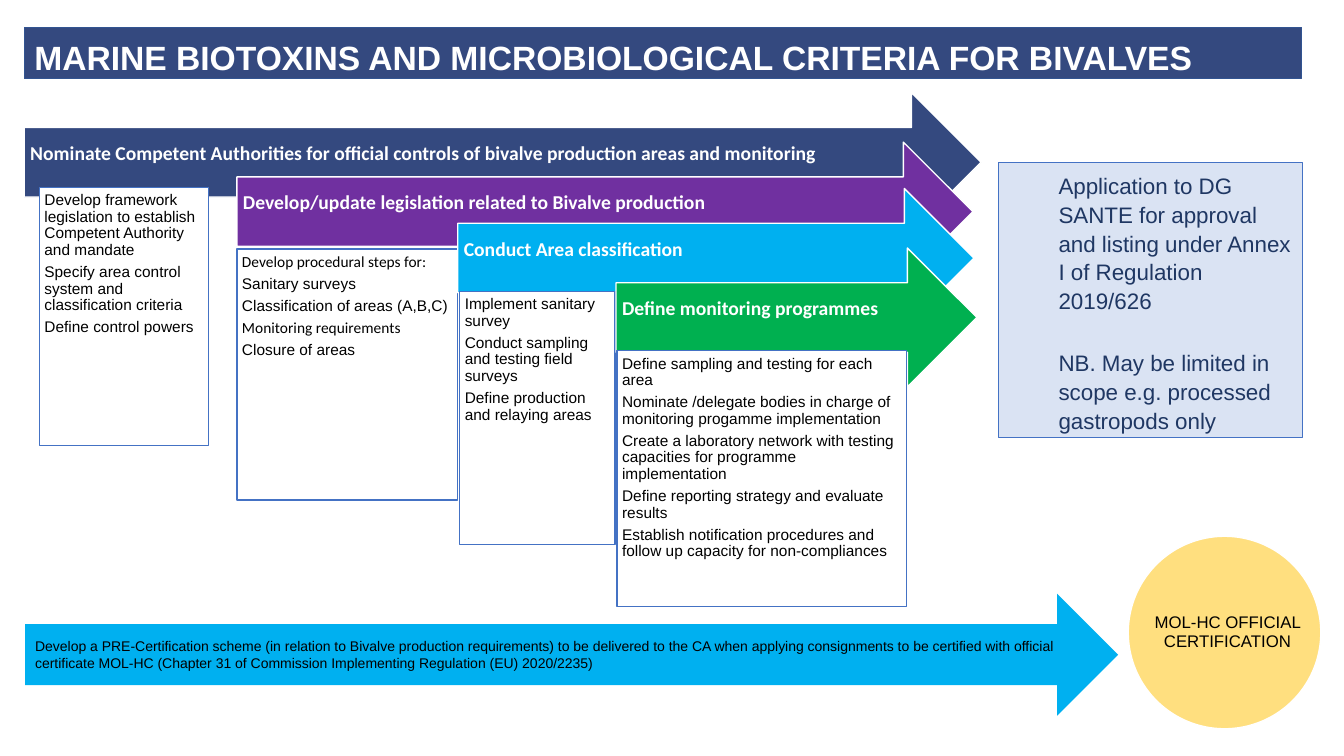
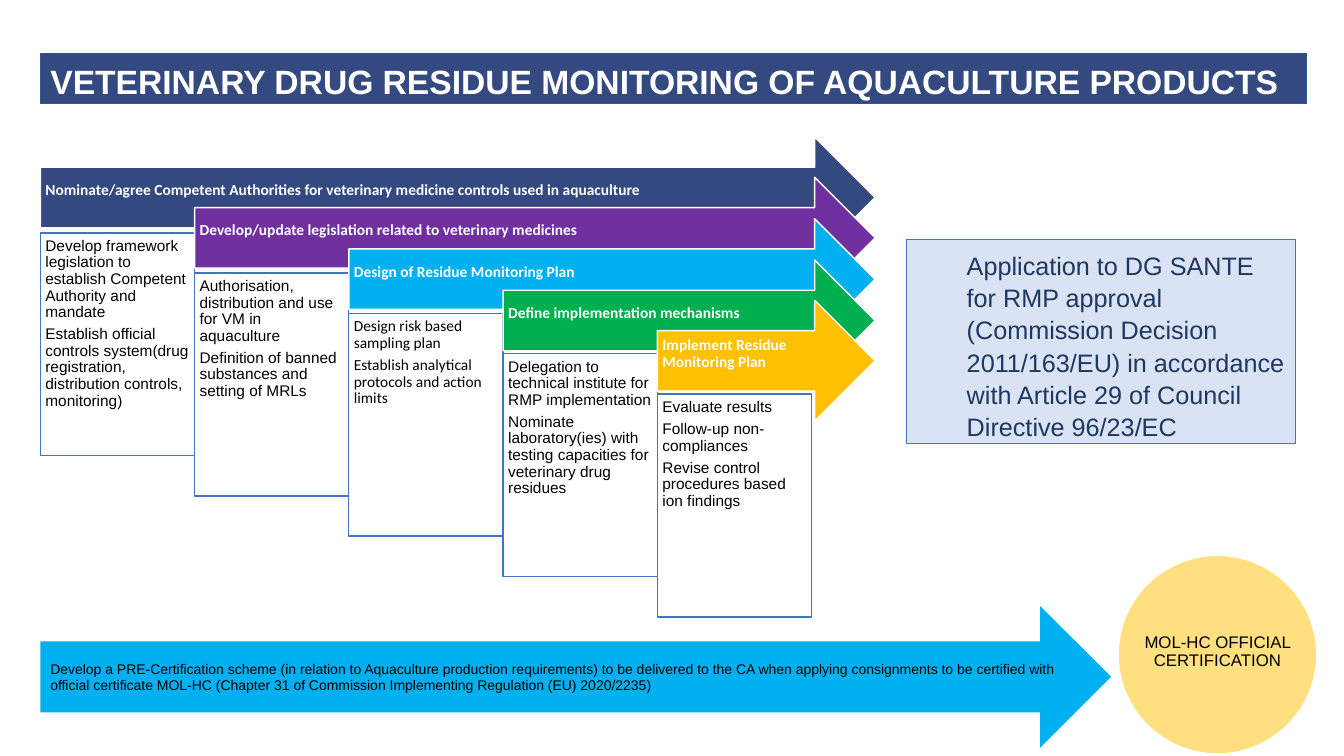
from lxml import etree
from pptx import Presentation
from pptx import util as u
from pptx.dml.color import RGBColor
from pptx.enum import shapes, text
from pptx.oxml import ns

PX = 9144
NAVY, PURPLE, SKY, GREEN, AMBER = "34497F", "7030A0", "00B0F0", "00B050", "FFC000"
WHITE, BLACK, PALE, BLUE, INK = "FFFFFF", "000000", "DAE3F3", "4472C4", "1F3763"
TITLE_EDGE = "325491"

TITLE_FONT = {"size": u.Pt(24), "name": "Arial", "bold": True}
BODY_FONT = {"size": u.Pt(11), "name": "Arial"}
SCHEME_FONT = {"size": u.Pt(10), "name": "Arial"}
BADGE_FONT = {"size": u.Pt(12), "name": "Arial"}

BIVALVE_STEPS = [
    (NAVY, "Nominate Competent Authorities for official controls of bivalve production areas and monitoring",
     (24, 92, 949, 138), (39, 186, 168, 256),
     ["Develop framework legislation to establish Competent Authority and mandate",
      "Specify area control system and classification criteria",
      "Define control powers"], ()),
    (PURPLE, "Develop/update legislation related to Bivalve production",
     (235, 141, 730, 138), (235, 247, 219, 249),
     ["Develop procedural steps for:", "Sanitary surveys", "Classification of areas (A,B,C)",
      "Monitoring requirements", "Closure of areas"], (0, 3)),
    (SKY, "Conduct Area classification",
     (454, 187, 512, 138), (456, 289, 154, 251),
     ["Implement sanitary survey", "Conduct sampling and testing field surveys",
      "Define production and relaying areas"], ()),
    (GREEN, "Define monitoring programmes",
     (611, 246, 358, 138), (612, 348, 287, 254),
     ["Define sampling and testing for each area",
      "Nominate /delegate bodies in charge of monitoring progamme implementation",
      "Create a laboratory network with testing capacities for programme implementation",
      "Define reporting strategy and evaluate results",
      "Establish notification procedures and follow up capacity for non-compliances"], ()),
]

RESIDUE_STEPS = [
    (NAVY, "Nominate/agree Competent Authorities for veterinary medicine controls used in aquaculture",
     ["Develop framework legislation to establish Competent Authority and mandate",
      "Establish official controls system(drug registration, distribution controls, monitoring)"], ()),
    (PURPLE, "Develop/update legislation related to veterinary medicines",
     ["Authorisation, distribution and use for VM in aquaculture",
      "Definition of banned substances and setting of MRLs"], ()),
    (SKY, "Design of Residue Monitoring Plan",
     ["Design risk based sampling plan",
      "Establish analytical protocols and action limits"], (0, 1)),
    (GREEN, "Define implementation mechanisms",
     ["Delegation to technical institute for RMP implementation",
      "Nominate laboratory(ies) with testing capacities for veterinary drug residues"], ()),
    (AMBER, "Implement Residue Monitoring Plan",
     ["Evaluate results", "Follow-up non-compliances",
      "Revise control procedures based ion findings"], ()),
]


def rgb(value):
    """Turn a hex string into a colour."""
    return RGBColor.from_string(value)


def emu(box):
    """Turn px lengths into EMU."""
    return [n * PX for n in box]


def apply(target, values):
    """Set each attribute named in a dict."""
    for name, value in values.items():
        setattr(target, name, value)


def paint(sp, fill, line=None, width=1):
    """Give a shape a solid fill and an optional outline."""
    sp.shadow.inherit = False
    sp.fill.solid()
    sp.fill.fore_color.rgb = rgb(fill)
    if line:
        sp.line.color.rgb = rgb(line)
        sp.line.width = u.Pt(width)
    else:
        sp.line.fill.background()


def write(sp, lines, font, color, insets, anchor=text.MSO_ANCHOR.TOP,
          align=text.PP_ALIGN.LEFT, **para):
    """Fill a shape with formatted paragraphs."""
    tf = sp.text_frame
    sides = ("margin_left", "margin_top", "margin_right", "margin_bottom")
    apply(tf, dict(zip(sides, emu(insets))))
    apply(tf, {"word_wrap": True, "auto_size": text.MSO_AUTO_SIZE.NONE,
               "vertical_anchor": anchor})
    for i, line in enumerate(lines):
        p = tf.paragraphs[0] if i == 0 else tf.add_paragraph()
        apply(p, {"alignment": align, **para})
        r = p.add_run()
        r.text = line
        apply(r.font, font)
        r.font.color.rgb = rgb(color)
    return tf.paragraphs


def add_shape(s, kind, box, fill, line=None, width=1):
    """Add a painted preset shape."""
    sp = s.shapes.add_shape(kind, *emu(box))
    paint(sp, fill, line, width)
    return sp


def add_title(s, title, box, spacing):
    """Turn the title placeholder into a filled band."""
    sp = s.shapes.title
    apply(sp, dict(zip(("left", "top", "width", "height"), emu(box))))
    paint(sp, NAVY, TITLE_EDGE)
    write(sp, [title], TITLE_FONT, WHITE, (10, 7, 10, 5), line_spacing=spacing)


def add_step(s, color, heading, arrow, box, lines, calibri, size, insets):
    """Add one arrow of the cascade and the box of tasks below it."""
    sp = add_shape(s, shapes.MSO_SHAPE.RIGHT_ARROW, arrow, color, WHITE)
    font = {"size": u.Pt(size), "name": "Calibri", "bold": True}
    write(sp, [heading], font, WHITE, insets, text.MSO_ANCHOR.MIDDLE,
          line_spacing=0.9, space_after=u.Pt(size * 0.35))
    sp = add_shape(s, shapes.MSO_SHAPE.RECTANGLE, box, WHITE, BLUE)
    paragraphs = write(sp, lines, BODY_FONT, BLACK, (5, 5, 5, 5),
                       line_spacing=0.9, space_after=u.Pt(3.85))
    for i in calibri:
        paragraphs[i].runs[0].font.name = "Calibri"


def add_callout(s, box, lines, size):
    """Add the indented panel about the application."""
    sp = add_shape(s, shapes.MSO_SHAPE.RECTANGLE, box, PALE, BLUE, 0.75)
    font = {"size": u.Pt(size), "name": "Arial"}
    paragraphs = write(sp, lines, font, INK, (10, 8, 10, 5), line_spacing=1.07)
    for i, p in enumerate(paragraphs):
        p._p.get_or_add_pPr().set("marL", str(50 * PX))
        if i:
            p.space_before = u.Pt(24)


def add_scheme(s, box, scope):
    """Add the bottom arrow about pre-certification."""
    line = (f"Develop a PRE-Certification scheme (in relation to {scope} production requirements) "
            "to be delivered to the CA when applying consignments to be certified with official "
            "certificate MOL-HC (Chapter 31 of Commission Implementing Regulation (EU) 2020/2235)")
    sp = add_shape(s, shapes.MSO_SHAPE.RIGHT_ARROW, box, SKY)
    write(sp, [line], SCHEME_FONT, BLACK, (10, 5, 10, 5), text.MSO_ANCHOR.MIDDLE)


def add_badge(s, left, top, size):
    """Add the half-transparent certification circle and its label."""
    sp = add_shape(s, shapes.MSO_SHAPE.OVAL, (left, top, size, size), AMBER, WHITE)
    color = sp.fill._xPr.find(ns.qn("a:solidFill"))[0]
    etree.SubElement(color, ns.qn("a:alpha"), val="50000")
    label = s.shapes.add_textbox(*emu((left + 11, top + 35, 175, 121)))
    write(label, ["MOL-HC OFFICIAL CERTIFICATION"], BADGE_FONT, BLACK, (2, 2, 2, 2),
          text.MSO_ANCHOR.MIDDLE, text.PP_ALIGN.CENTER,
          line_spacing=0.9, space_after=u.Pt(4.2))


def build_bivalves(s):
    """Build the slide on bivalve criteria."""
    add_title(s, "MARINE BIOTOXINS AND MICROBIOLOGICAL CRITERIA FOR BIVALVES",
              (24, 27, 1267, 51), 1.07)
    for step in BIVALVE_STEPS:
        add_step(s, *step, size=14, insets=(6, 6, 28, 22))
    add_callout(s, (990, 161, 302, 273),
                ["Application to DG SANTE for approval and listing under Annex I of Regulation 2019/626",
                 "NB. May be limited in scope e.g. processed gastropods only"], 16)
    add_scheme(s, (25, 589, 1084, 121), "Bivalve")
    add_badge(s, 1119, 532, 191)


def build_residues(s):
    """Build the slide on drug residue monitoring."""
    add_title(s, "VETERINARY DRUG RESIDUE MONITORING OF AQUACULTURE PRODUCTS",
              (40, 53, 1256, 50), 1.0)
    right, column = 868, 153
    for i, (color, heading, lines, calibri) in enumerate(RESIDUE_STEPS):
        left = 40 + column * i
        arrow = (left, round(136 + 40.5 * i), right - left, 120)
        box = (left, 231 + 40 * i, column, 221)
        add_step(s, color, heading, arrow, box, lines, calibri,
                 size=11, insets=(5, 5, 28, 19))
    add_callout(s, (899, 238, 386, 202),
                ["Application to DG SANTE for RMP approval (Commission Decision 2011/163/EU) "
                 "in accordance with Article 29 of Council Directive 96/23/EC"], 18)
    add_scheme(s, (40, 601, 1062, 141), "Aquaculture")
    add_badge(s, 1109, 551, 197)


def main():
    """Build and save the presentation."""
    prs = Presentation()
    prs.slide_width, prs.slide_height = emu((1333, 750))
    for build in (build_bivalves, build_residues):
        build(prs.slides.add_slide(prs.slide_layouts[5]))
    prs.save("out.pptx")


if __name__ == "__main__":
    main()
